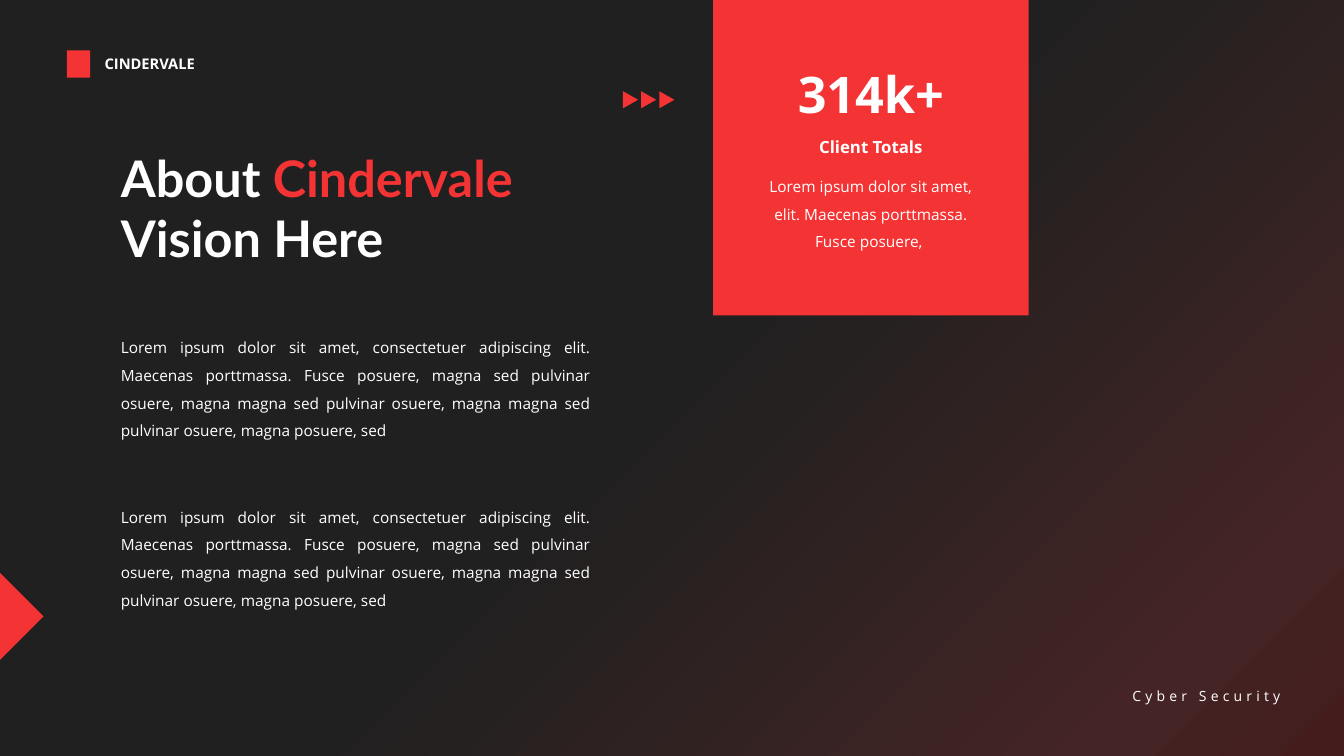
from copy import deepcopy
from dataclasses import dataclass
from typing import Optional

from pptx import Presentation
from pptx.dml.color import RGBColor
from pptx.enum.shapes import MSO_SHAPE as Shape
from pptx.enum.text import MSO_AUTO_SIZE as AutoSize, MSO_ANCHOR as Anchor, PP_ALIGN as Align
from pptx.util import Inches, Length, Pt

CELL = 0.1  # inches in one grid column or row
COLS, ROWS = 133.33, 75
RED, WHITE = "F43334", "FFFFFF"
BACKGROUND_STOPS = [(0, "202020"), (0.5, "202020"), (0.88, "442424"), (1, "441C1C")]
COMPANY = "Cindervale"
LOREM = (
    "Lorem ipsum dolor sit amet, consectetuer adipiscing elit. Maecenas porttmassa. "
    "Fusce posuere, magna sed pulvinar osuere, magna magna sed pulvinar osuere, "
    "magna magna sed pulvinar osuere, magna posuere, sed"
)


@dataclass(frozen=True)
class Box:
    """A place on the grid, in columns and rows."""
    col: float
    row: float
    cols: float
    rows: float

    def lengths(self) -> tuple[Length, ...]:
        return tuple(grid(n) for n in (self.col, self.row, self.cols, self.rows))


@dataclass(frozen=True)
class Block:
    box: Box
    kind: Shape
    rotation: float = 0


@dataclass(frozen=True)
class Label:
    box: Box
    text: str
    size: float
    bold: bool = False
    align: Align = Align.LEFT
    line_spacing: Optional[float] = None
    wrap: bool = True
    tracking: float = 0


ARROW_COL, ARROW_STEP, ARROW_COUNT = 61.7, 1.8, 3
BLOCKS = [
    Block(Box(70.75, 0, 31.3, 31.3), Shape.RECTANGLE),
    Block(Box(6.65, 5, 2.3, 2.7), Shape.RECTANGLE),
    Block(Box(-3.05, 58.1, 6.1, 6.1), Shape.RIGHT_TRIANGLE, 225),
    *(Block(Box(ARROW_COL + i * ARROW_STEP, 9.15, 1.7, 1.5), Shape.ISOSCELES_TRIANGLE, 90)
      for i in range(ARROW_COUNT)),
]
LABELS = [
    Label(Box(9.4, 4.95, 11.8, 2.8), COMPANY.upper(), 10.5, bold=True, wrap=False),
    Label(Box(110.1, 67.7, 17.9, 2.7), "Cyber Security", 10, align=Align.RIGHT,
          wrap=False, tracking=3),
    *(Label(Box(11, row, 48.6, 11.8), LOREM, 11, align=Align.JUSTIFY, line_spacing=1.5)
      for row in (32.15, 48.95)),
    Label(Box(77.2, 5.8, 18.4, 7.1), "314k+", 36, bold=True, align=Align.CENTER),
    Label(Box(78.1, 13.05, 16.6, 3), "Client Totals", 12, bold=True, align=Align.CENTER),
    Label(Box(74.6, 16.15, 23.6, 9.3),
          "Lorem ipsum dolor sit amet, elit. Maecenas porttmassa. Fusce posuere, ",
          11, align=Align.CENTER, line_spacing=1.5),
]
TITLE_BOX = Box(11, 14.05, 48.6, 13.1)
TITLE_RUNS = [("About ", WHITE), (COMPANY, RED), (" Vision Here", WHITE)]


def grid(cells: float) -> Length:
    return Inches(cells * CELL)


def rgb(value: str) -> RGBColor:
    return RGBColor.from_string(value)


def add_text(p, text: str, *, size: float, font: str = "Open Sans", color: str = WHITE,
             bold: bool = False, tracking: float = 0) -> None:
    r = p.add_run()
    r.text = text
    r.font.name, r.font.size, r.font.bold = font, Pt(size), bold
    r.font.color.rgb = rgb(color)
    if tracking:
        r._r.get_or_add_rPr().set("spc", str(round(tracking * 100)))


def paint_background(slide) -> None:
    fill = slide.background.fill
    fill.gradient()
    fill.gradient_angle = 315
    stop_list = next(slide.element.iter("{*}gsLst"))
    for _ in range(len(BACKGROUND_STOPS) - len(stop_list)):
        stop_list.append(deepcopy(stop_list[0]))
    for stop, (position, color) in zip(fill.gradient_stops, BACKGROUND_STOPS):
        stop.position = position
        stop.color.rgb = rgb(color)


def add_block(slide, block: Block) -> None:
    sp = slide.shapes.add_shape(block.kind, *block.box.lengths())
    sp.rotation = block.rotation
    sp.shadow.inherit = False
    sp.fill.solid()
    sp.fill.fore_color.rgb = rgb(RED)
    sp.line.fill.background()


def add_label(slide, label: Label) -> None:
    tf = slide.shapes.add_textbox(*label.box.lengths()).text_frame
    tf.word_wrap = label.wrap
    tf.auto_size = AutoSize.SHAPE_TO_FIT_TEXT
    p = tf.paragraphs[0]
    p.alignment = label.align
    p.line_spacing = label.line_spacing
    add_text(p, label.text, size=label.size, bold=label.bold, tracking=label.tracking)


def format_title(slide) -> None:
    title = slide.shapes.title
    title.left, title.top, title.width, title.height = TITLE_BOX.lengths()
    tf = title.text_frame
    tf.word_wrap = True
    tf.auto_size = AutoSize.SHAPE_TO_FIT_TEXT
    tf.vertical_anchor = Anchor.TOP
    p = tf.paragraphs[0]
    p.alignment = Align.LEFT
    for text, color in TITLE_RUNS:
        add_text(p, text, size=36, font="Lato", color=color, bold=True)


def main() -> None:
    prs = Presentation()
    prs.slide_width, prs.slide_height = grid(COLS), grid(ROWS)
    slide = prs.slides.add_slide(prs.slide_layouts.get_by_name("Title Only"))
    paint_background(slide)
    format_title(slide)
    for block in BLOCKS:
        add_block(slide, block)
    for label in LABELS:
        add_label(slide, label)
    prs.save("out.pptx")


if __name__ == "__main__":
    main()
